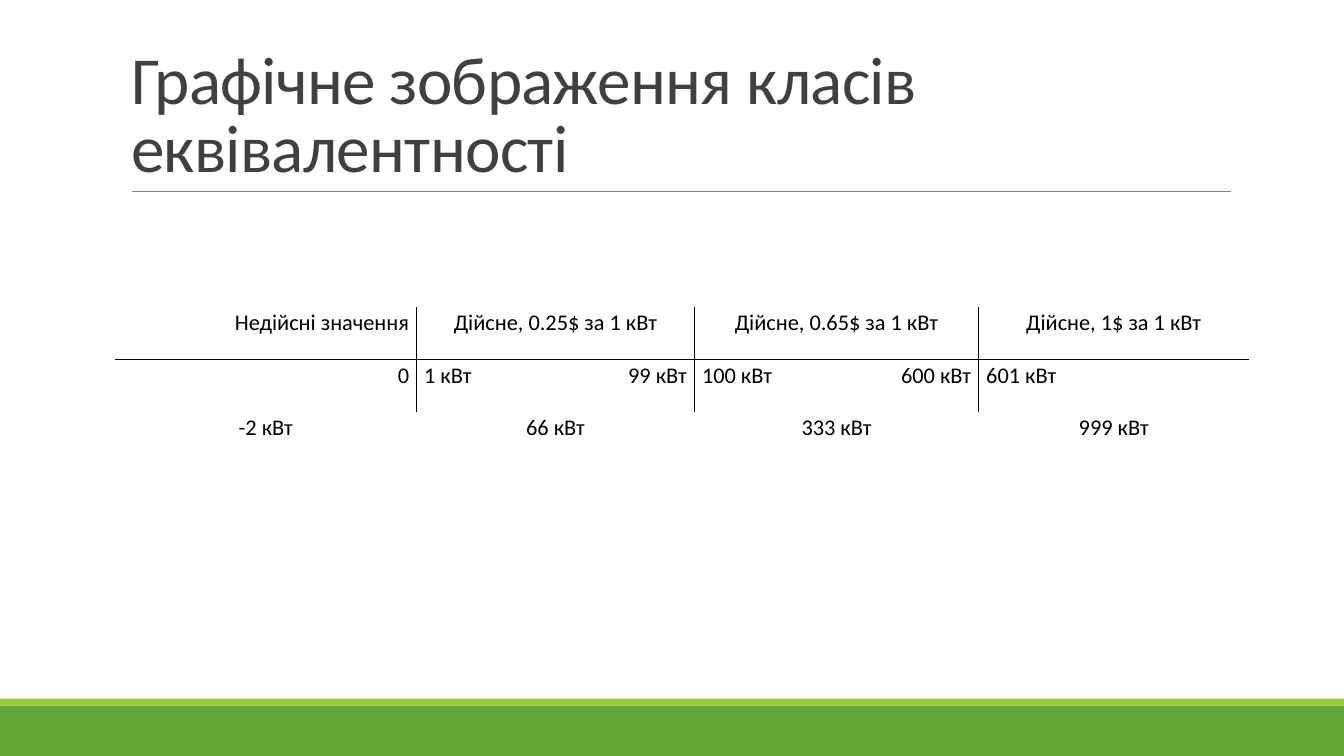
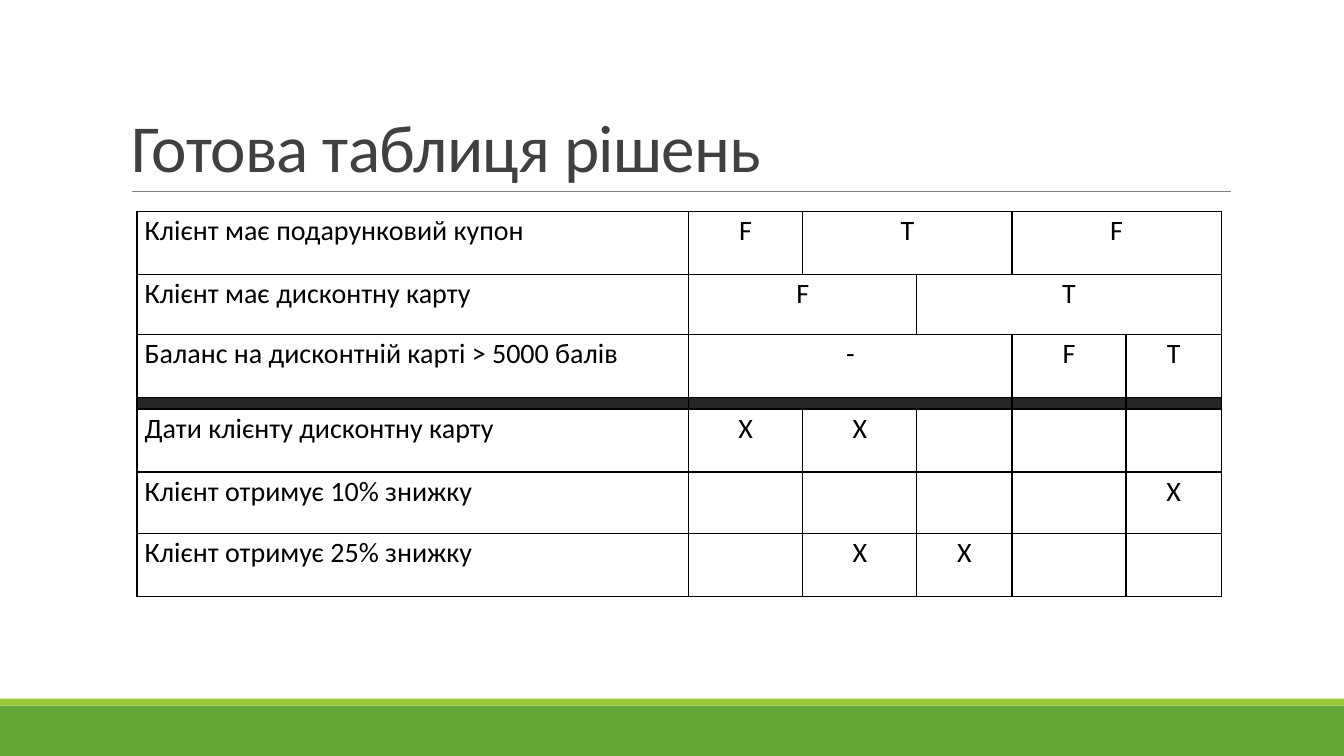
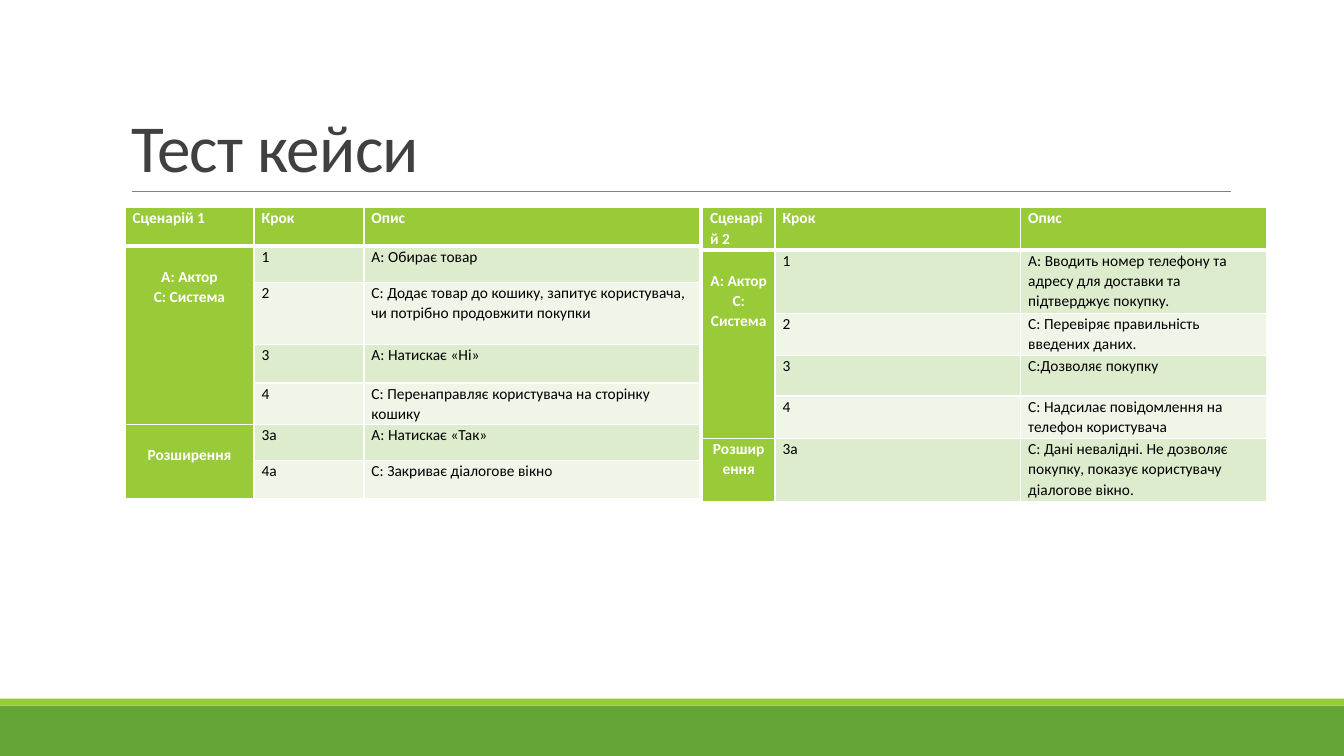
"""Build three slides on test design: equivalence classes, a decision table and test cases."""
from dataclasses import dataclass
from typing import Callable, Optional

from lxml import etree
from pptx import Presentation
from pptx.dml.color import RGBColor
from pptx.enum import shapes, text
from pptx.oxml import ns
from pptx.util import Pt

BLACK = RGBColor(0x00, 0x00, 0x00)
WHITE = RGBColor(0xFF, 0xFF, 0xFF)
TITLE_GREY = RGBColor(0x40, 0x40, 0x40)
RULE_GREY = RGBColor(0x80, 0x80, 0x80)
CHARCOAL = RGBColor(0x26, 0x26, 0x26)
GREEN = RGBColor(0x63, 0xA5, 0x37)
LIME = RGBColor(0x99, 0xCB, 0x38)
PALE = RGBColor(0xDE, 0xEC, 0xCE)
PALEST = RGBColor(0xEF, 0xF6, 0xE8)

FONT = "Calibri"
LINE_SPACING = 1.07
SCENARIO_SIZE = 11
LEFT, CENTER, RIGHT = text.PP_ALIGN.LEFT, text.PP_ALIGN.CENTER, text.PP_ALIGN.RIGHT
SLIDE_SIZE = {"slide_width": Pt(960), "slide_height": Pt(540)}
TITLE_BOX = {"left": Pt(86.4), "top": Pt(22.3), "width": Pt(792), "height": Pt(114.5)}
TITLE_FRAME = {
    "vertical_anchor": text.MSO_ANCHOR.BOTTOM,
    "word_wrap": True,
    "auto_size": text.MSO_AUTO_SIZE.NONE,
}
TITLE_FONT = {"name": FONT, "size": Pt(48), "bold": False}
CELL_MARGINS = {"margin_left": Pt(5.4), "margin_right": Pt(5.4), "margin_bottom": Pt(0)}
PLAIN_TABLE = {"first_row": False, "horz_banding": False}


@dataclass(frozen=True)
class Band:
    """A full-width strip at the foot of the slide."""
    top: float
    height: float
    color: RGBColor


@dataclass(frozen=True)
class Cell:
    """A table cell with its span and look."""
    words: str = ""
    align: text.PP_ALIGN = CENTER
    cols: int = 1
    rows: int = 1
    fill: Optional[RGBColor] = None
    color: RGBColor = BLACK
    bold: bool = False
    pad_top: float = 0
    size: Optional[float] = None


EdgeRule = Callable[[int, int, int], dict[str, float]]


@dataclass(frozen=True)
class Grid:
    """A table: place, tracks, cells and the rule for its borders."""
    left: float
    top: float
    widths: list[float]
    heights: list[float]
    cells: list[list[Optional[Cell]]]
    size: float
    edges: EdgeRule
    edge_color: RGBColor = BLACK


BANDS = (Band(504, 36, GREEN), Band(499, 5, LIME))


def set_all(target: object, values: dict) -> None:
    """Set each attribute named in values."""
    for name, value in values.items():
        setattr(target, name, value)


def axis_edges(row: int, first: int, last: int) -> dict[str, float]:
    """Border widths of a number line with class limits."""
    near_axis = row < 2
    return {
        "lnL": int(near_axis and first in (2, 4, 6)),
        "lnR": int(near_axis and last in (1, 3, 5)),
        "lnT": int(row == 1),
        "lnB": int(row == 0),
    }


def framed_edges(row: int, first: int, last: int) -> dict[str, float]:
    """Border widths of a fully ruled table."""
    return dict.fromkeys(("lnL", "lnR", "lnT", "lnB"), 1)


def header_edges(row: int, first: int, last: int) -> dict[str, float]:
    """Border widths of a ruled table with a heavy line under its header."""
    heavy = {0: {"lnB": 3}, 1: {"lnT": 3}}
    return framed_edges(row, first, last) | heavy.get(row, {})


def draw_borders(cell, widths: dict[str, float], color: RGBColor) -> None:
    """Write the border lines of a table cell."""
    properties = cell._tc.get_or_add_tcPr()
    for tag, width in widths.items():
        line = etree.SubElement(properties, ns.qn(f"a:{tag}"), w=str(int(Pt(width))))
        if width:
            solid = etree.SubElement(line, ns.qn("a:solidFill"))
            etree.SubElement(solid, ns.qn("a:srgbClr"), val=str(color))
        else:
            etree.SubElement(line, ns.qn("a:noFill"))


def write_cell(cell, words: str, look: Cell, size: float) -> None:
    """Write and format the text of a table cell."""
    cell.text = words
    for paragraph in cell.text_frame.paragraphs:
        set_all(paragraph, {"alignment": look.align, "line_spacing": LINE_SPACING})
        for run in paragraph.runs:
            set_all(run.font, {"name": FONT, "size": Pt(size), "bold": look.bold})
            run.font.color.rgb = look.color
        if not paragraph.runs:
            etree.SubElement(paragraph._p, ns.qn("a:endParaRPr"), sz=str(int(size * 100)))


def place_cell(table, grid: Grid, row: int, col: int, look: Cell) -> None:
    """Format every cell that the look covers, then merge them."""
    last_row, last_col = row + look.rows - 1, col + look.cols - 1
    for r in range(row, last_row + 1):
        for c in range(col, last_col + 1):
            cell = table.cell(r, c)
            set_all(cell, CELL_MARGINS | {"margin_top": Pt(look.pad_top)})
            draw_borders(cell, grid.edges(r, col, last_col), grid.edge_color)
            if look.fill is None:
                cell.fill.background()
            else:
                cell.fill.solid()
                cell.fill.fore_color.rgb = look.fill
            words = look.words if (r, c) == (row, col) else ""
            write_cell(cell, words, look, look.size or grid.size)
    if look.rows * look.cols > 1:
        table.cell(row, col).merge(table.cell(last_row, last_col))


def draw_grid(slide, grid: Grid) -> None:
    """Add a table to the slide."""
    table = slide.shapes.add_table(
        len(grid.heights), len(grid.widths), Pt(grid.left), Pt(grid.top),
        Pt(sum(grid.widths)), Pt(sum(grid.heights)),
    ).table
    set_all(table, PLAIN_TABLE)
    for column, width in zip(table.columns, grid.widths):
        column.width = Pt(width)
    for table_row, height in zip(table.rows, grid.heights):
        table_row.height = Pt(height)
    for row, looks in enumerate(grid.cells):
        col = 0
        for look in looks:
            if look is not None:
                place_cell(table, grid, row, col, look)
            col += look.cols if look else 1


def add_titled_slide(deck, heading: str):
    """Add a slide with the shared bands, rule and title."""
    slide = deck.slides.add_slide(deck.slide_layouts[5])
    for band in BANDS:
        strip = slide.shapes.add_shape(
            shapes.MSO_SHAPE.RECTANGLE, Pt(0), Pt(band.top), deck.slide_width, Pt(band.height))
        strip.shadow.inherit = False
        strip.fill.solid()
        strip.fill.fore_color.rgb = band.color
        strip.line.fill.background()
    rule = slide.shapes.add_connector(
        shapes.MSO_CONNECTOR.STRAIGHT, Pt(94.3), Pt(136.8), Pt(879.1), Pt(136.8))
    rule.line.color.rgb = RULE_GREY
    rule.line.width = Pt(0.5)
    etree.SubElement(rule.element.spPr, ns.qn("a:effectLst"))

    title = slide.shapes.title
    set_all(title, TITLE_BOX)
    set_all(title.text_frame, TITLE_FRAME)
    paragraph = title.text_frame.paragraphs[0]
    set_all(paragraph, {"alignment": LEFT, "line_spacing": 0.85})
    run = paragraph.add_run()
    run.text = heading
    set_all(run.font, TITLE_FONT)
    run.font.color.rgb = TITLE_GREY
    run._r.get_or_add_rPr().set("spc", "-50")
    return slide


def decision_row(label: str, *answers: Cell) -> list[Optional[Cell]]:
    """Return a decision table row: a label and its answers."""
    return [Cell(label, LEFT), *answers]


def action_row(label: str, marks: set[int]) -> list[Optional[Cell]]:
    """Return a decision table row with an X under each marked rule."""
    return decision_row(label, *(Cell("X" if rule in marks else "") for rule in range(1, 6)))


def lime_cell(words: str, align: text.PP_ALIGN = CENTER, rows: int = 1, pad_top: float = 0) -> Cell:
    """Return a bold white cell on lime."""
    return Cell(words, align, rows=rows, fill=LIME, color=WHITE, bold=True, pad_top=pad_top)


def scenario_cells(name: str, groups: dict[int, Cell],
                   steps: list[tuple[str, str]]) -> list[list[Optional[Cell]]]:
    """Return the header and the striped steps of a scenario."""
    cells = [[lime_cell(words, LEFT) for words in (name, "Крок", "Опис")]]
    for index, step in enumerate(steps):
        stripe = PALEST if index % 2 else PALE
        cells.append([groups.get(index), *(Cell(words, LEFT, fill=stripe) for words in step)])
    return cells


LINE_GAP = 14.4
ROLES = lime_cell("А: Актор\nС: Система", rows=4, pad_top=LINE_GAP)

CLASSES = Grid(
    82.1, 219.6, [108, 107.5, 99, 99.5, 102, 101, 193], [37.5, 37.5, 64],
    [
        [Cell("Недійсні значення", RIGHT, 2), Cell("Дійсне, 0.25$ за 1 кВт", cols=2),
         Cell("Дійсне, 0.65$ за 1 кВт", cols=2), Cell("Дійсне, 1$ за 1 кВт")],
        [Cell(), Cell("0", RIGHT), Cell("1 кВт", LEFT), Cell("99 кВт", RIGHT),
         Cell("100 кВт", LEFT), Cell("600 кВт", RIGHT), Cell("601 кВт", LEFT)],
        [Cell("-2 кВт", cols=2), Cell("66 кВт", cols=2), Cell("333 кВт", cols=2), Cell("999 кВт")],
    ],
    16, axis_edges,
)

DIVIDER = Cell(fill=CHARCOAL, size=6)
DECISIONS = Grid(
    97.9, 151.2, [394, 81.5, 81.5, 68, 81.5, 68], [45, 43, 45, 8, 45, 44, 45],
    [
        decision_row("Клієнт має подарунковий купон", Cell("F"), Cell("T", cols=2), Cell("F", cols=2)),
        decision_row("Клієнт має дисконтну карту", Cell("F", cols=2), Cell("T", cols=3)),
        decision_row("Баланс на дисконтній карті > 5000 балів",
                     Cell("-", cols=3), Cell("F"), Cell("T")),
        [DIVIDER, Cell(cols=3, fill=CHARCOAL, size=6), DIVIDER, DIVIDER],
        action_row("Дати клієнту дисконтну карту", {1, 2}),
        action_row("Клієнт отримує 10% знижку", {5}),
        action_row("Клієнт отримує 25% знижку", {2, 3}),
    ],
    20, framed_edges,
)

CART = Grid(
    89.3, 148.3, [92.2, 78.5, 239.8], [27.4, 25.9, 44.6, 27.4, 29.5, 25.9, 27.4],
    scenario_cells(
        "Сценарій 1",
        {0: ROLES, 4: lime_cell("Розширення", rows=2, pad_top=LINE_GAP)},
        [
            ("1", "А: Обирає товар"),
            ("2", "С: Додає товар до кошику, запитує користувача, чи потрібно продовжити покупки"),
            ("3", "А: Натискає «Ні»"),
            ("4", "С: Перенаправляє користувача на сторінку кошику"),
            ("3а", "А: Натискає «Так»"),
            ("4а", "С: Закриває діалогове вікно"),
        ],
    ),
    SCENARIO_SIZE, header_edges, WHITE,
)

CHECKOUT = Grid(
    501.8, 148.3, [51.8, 175.5, 175.5], [30.2, 45.4, 30.2, 28.8, 30.2, 45.4],
    scenario_cells(
        "Сценарій 2",
        {0: ROLES, 4: lime_cell("Розширення")},
        [
            ("1", "А: Вводить номер телефону та адресу для доставки та підтверджує покупку."),
            ("2", "С: Перевіряє правильність введених даних."),
            ("3", "С:Дозволяє покупку"),
            ("4", "С: Надсилає повідомлення на телефон користувача"),
            ("3а", "С: Дані невалідні. Не дозволяє покупку, показує користувачу діалогове вікно."),
        ],
    ),
    SCENARIO_SIZE, header_edges, WHITE,
)

CONTENT = {
    "Графічне зображення класів еквівалентності": [CLASSES],
    "Готова таблиця рішень": [DECISIONS],
    "Тест кейси": [CART, CHECKOUT],
}


def main() -> None:
    """Build and save the deck."""
    deck = Presentation()
    set_all(deck, SLIDE_SIZE)
    for heading, grids in CONTENT.items():
        slide = add_titled_slide(deck, heading)
        for grid in grids:
            draw_grid(slide, grid)
    deck.save("out.pptx")


if __name__ == "__main__":
    main()
